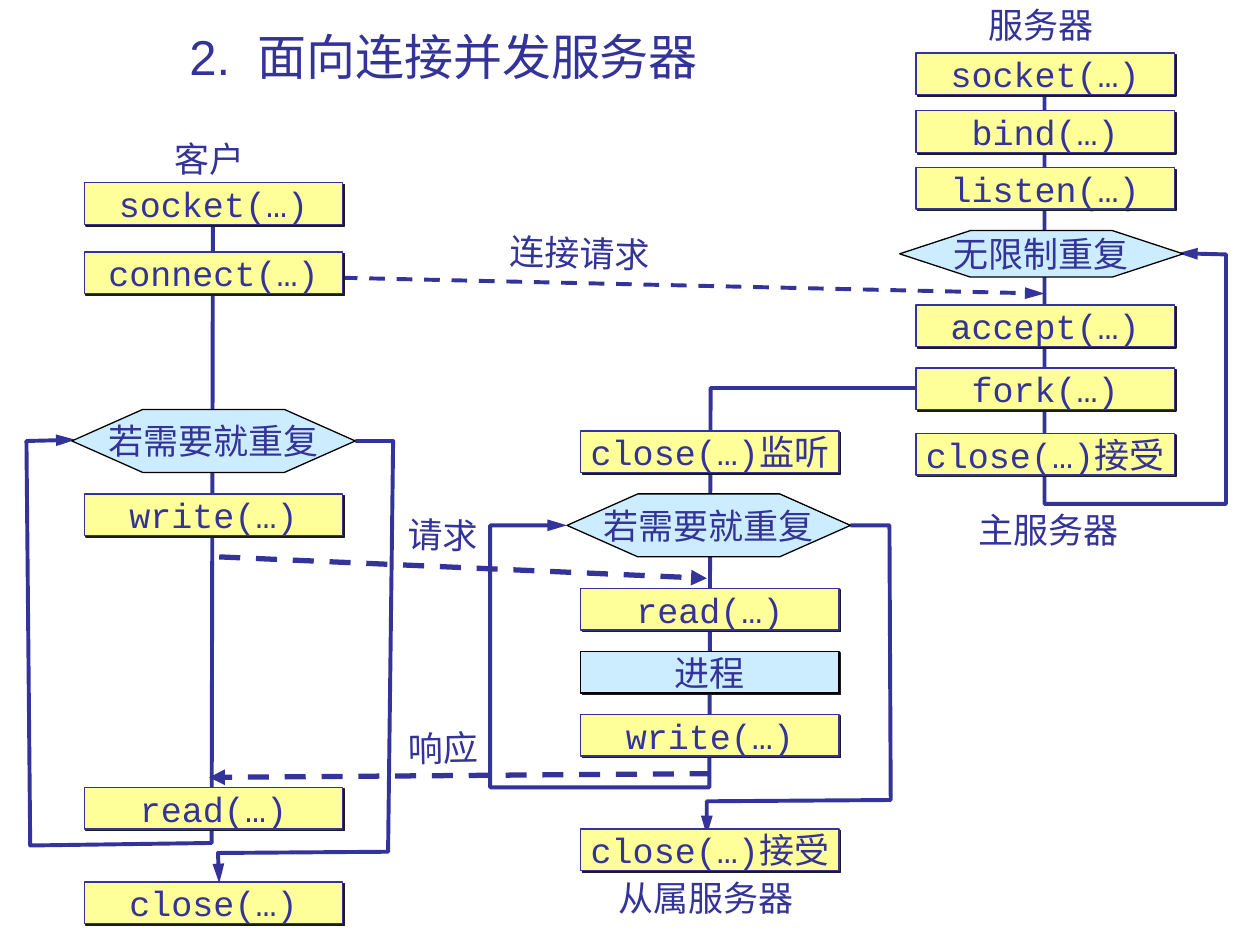
from lxml import etree
from pptx import Presentation
from pptx import util as u
from pptx.dml.color import RGBColor
from pptx.enum import dml, shapes, text
from pptx.oxml import ns

NAVY = RGBColor(0x33, 0x33, 0x99)
YELLOW = RGBColor(0xFF, 0xFF, 0x99)
SKY = RGBColor(0xCC, 0xEC, 0xFF)
BLACK = RGBColor(0, 0, 0)
MONO = "Courier New"

TITLE = "2.  面向连接并发服务器 "
BOX_W, BOX_H, HEX_W = 2.05, 0.33, 2.25
CHAR_W, PAD = 0.28, 0.1
THIN, THICK = 2.25, 3

CALLS = {
    0.67: [("socket(…)", 1.45), ("connect(…)", 2), ("write(…)", 3.92),
           ("read(…)", 6.25), ("close(…)", 7)],
    4.61: [("close(…)监听", 3.42), ("read(…)", 4.67), ("进程", 5.17),
           ("write(…)", 5.67), ("close(…)接受", 6.58)],
    7.27: [("socket(…)", 0.42), ("bind(…)", 0.88), ("listen(…)", 1.33),
           ("accept(…)", 2.42), ("fork(…)", 2.92), ("close(…)接受", 3.44)],
}
LOOPS = [
    ("若需要就重复", 0.57, 3.25, 0.5),
    ("若需要就重复", 4.5, 3.92, 0.5),
    ("无限制重复", 7.14, 1.83, 0.37),
]
LABELS = [
    ("服务器", 7.75, -0.02, 0),
    ("客户", 1.29, 1.04, 0),
    ("连接请求", 3.95, 1.79, 1.8),
    ("请求", 3.14, 4.03, 1.8),
    ("响应", 3.14, 5.72, -1.1),
    ("主服务器", 7.67, 3.99, 0),
    ("从属服务器", 4.81, 6.91, 0),
]
ROUTES = [
    [(7.37, 3.08), (5.64, 3.08), (5.63, 6.25), (3.89, 6.25), (3.89, 4.17), (4.5, 4.17)],
    [(1.69, 1.79), (1.68, 6.69), (0.24, 6.71), (0.21, 3.5), (0.6, 3.49)],
    [(8.29, 0.76), (8.29, 4), (9.73, 4), (9.73, 2.02), (9.35, 2.01)],
    [(2.82, 3.5), (3.12, 3.5), (3.08, 6.76), (1.73, 6.77), (1.74, 7.01)],
    [(6.75, 4.17), (7.06, 4.17), (7.07, 6.35), (5.61, 6.36), (5.61, 6.63)],
]
MESSAGES = [
    ((2.06, 2.19), (8.29, 2.33), THIN),
    ((1.74, 4.42), (5.61, 4.59), THICK),
    ((5.64, 6.14), (1.66, 6.17), THICK),
]


def write(shape, words, size=20, font=MONO, align=text.PP_ALIGN.CENTER,
          anchor=text.MSO_ANCHOR.MIDDLE, wrap=False, fit=text.MSO_AUTO_SIZE.NONE):
    frame = shape.text_frame
    frame.word_wrap = wrap
    frame.auto_size = fit
    frame.vertical_anchor = anchor
    para = frame.paragraphs[0]
    para.alignment = align
    run = para.add_run()
    run.text = words
    run.font.size = u.Pt(size)
    run.font.name = font
    run.font.color.rgb = NAVY


def style_line(shape, width):
    shape.line.color.rgb = NAVY
    shape.line.width = u.Pt(width)
    etree.SubElement(shape.line._get_or_add_ln(), ns.qn("a:tailEnd"), type="triangle",
                     len="lg" if width == THIN else "med")


def add_route(slide, points):
    steps = [(round(x * 100), round(y * 100)) for x, y in points]
    pen = slide.shapes.build_freeform(*steps[0], scale=u.Inches(0.01))
    pen.add_line_segments(steps[1:], close=False)
    route = pen.convert_to_shape()
    route.fill.background()
    route.shadow.inherit = False
    style_line(route, THIN)


def add_message(slide, start, end, width):
    ends = [u.Inches(v) for v in start + end]
    line = slide.shapes.add_connector(shapes.MSO_CONNECTOR.STRAIGHT, *ends)
    line.line.dash_style = dml.MSO_LINE.DASH
    style_line(line, width)
    etree.SubElement(line._element.spPr, ns.qn("a:effectLst"))


def add_node(slide, kind, words, at, fill, edge):
    node = slide.shapes.add_shape(kind, *[u.Inches(v) for v in at])
    node.fill.solid()
    node.fill.fore_color.rgb = fill
    node.line.color.rgb = edge
    node.line.width = u.Pt(0.75)
    node.shadow.inherit = False
    write(node, words)
    return node


def add_call(slide, words, left, top):
    work = words == "进程"
    node = add_node(slide, shapes.MSO_SHAPE.RECTANGLE, words, (left, top, BOX_W, BOX_H),
                    SKY if work else YELLOW, BLACK if work else NAVY)
    effects = node._element.spPr.find(ns.qn("a:effectLst"))
    shade = etree.SubElement(effects, ns.qn("a:outerShdw"), dist=str(u.Pt(1.4)),
                             dir="2700000", algn="ctr", rotWithShape="0")
    etree.SubElement(shade, ns.qn("a:srgbClr"), val="1C1C1C")


def add_loop(slide, words, left, top, height):
    node = add_node(slide, shapes.MSO_SHAPE.HEXAGON, words,
                    (left, top, HEX_W, height), SKY, BLACK)
    node.adjustments[0] = HEX_W / 4 / height


def add_label(slide, words, left, top, turn):
    width = len(words) * CHAR_W + 2 * PAD
    label = slide.shapes.add_textbox(*[u.Inches(v) for v in (left, top, width, 0.44)])
    label.rotation = turn
    write(label, words, align=text.PP_ALIGN.LEFT, anchor=text.MSO_ANCHOR.TOP,
          fit=text.MSO_AUTO_SIZE.SHAPE_TO_FIT_TEXT)


def main():
    deck = Presentation()
    deck.slide_width, deck.slide_height = u.Inches(10), u.Inches(7.5)
    slide = deck.slides.add_slide(deck.slide_layouts[5])
    title = slide.shapes.title
    title.left, title.top = u.Inches(0.75), u.Inches(0.21)
    title.width, title.height = u.Inches(5.63), u.Inches(0.52)
    write(title, TITLE, size=28, font="Arial", anchor=text.MSO_ANCHOR.BOTTOM, wrap=True)
    for points in ROUTES:
        add_route(slide, points)
    for message in MESSAGES:
        add_message(slide, *message)
    for left, calls in CALLS.items():
        for words, top in calls:
            add_call(slide, words, left, top)
    for loop in LOOPS:
        add_loop(slide, *loop)
    for label in LABELS:
        add_label(slide, *label)
    deck.save("out.pptx")


if __name__ == "__main__":
    main()
